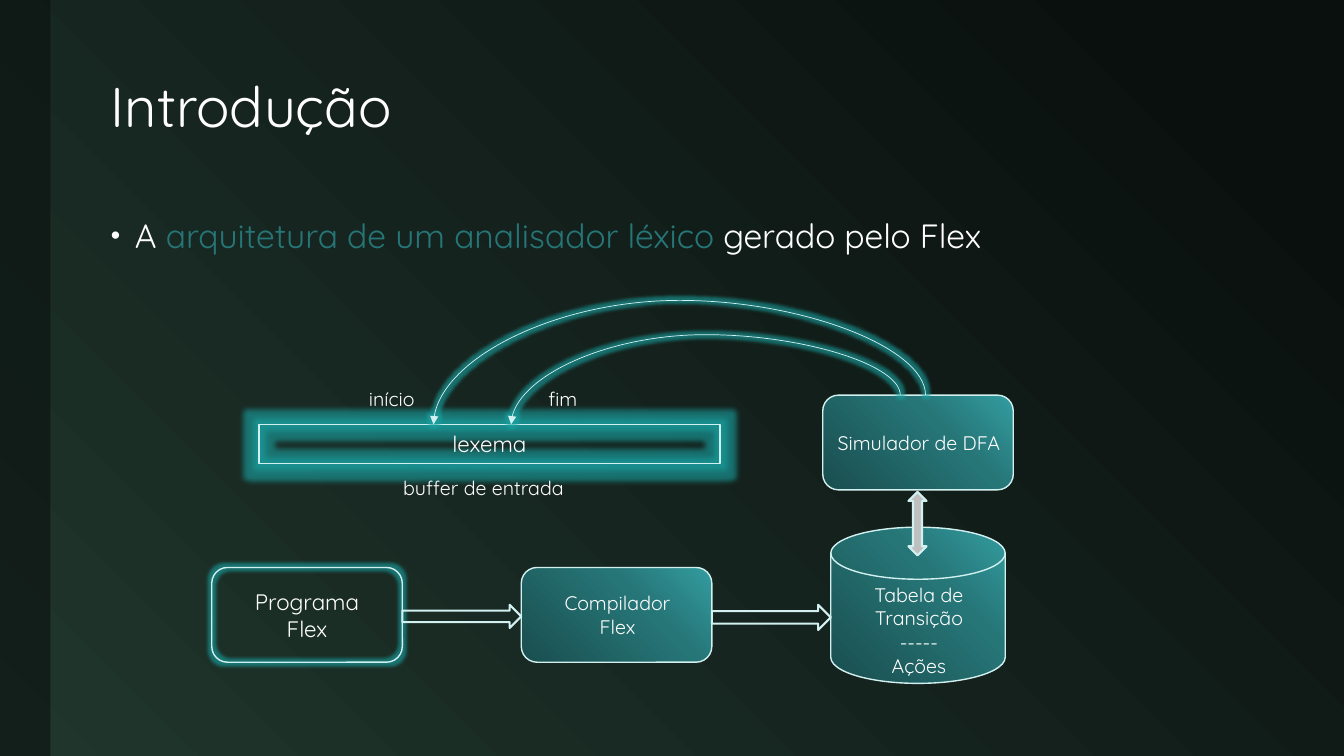
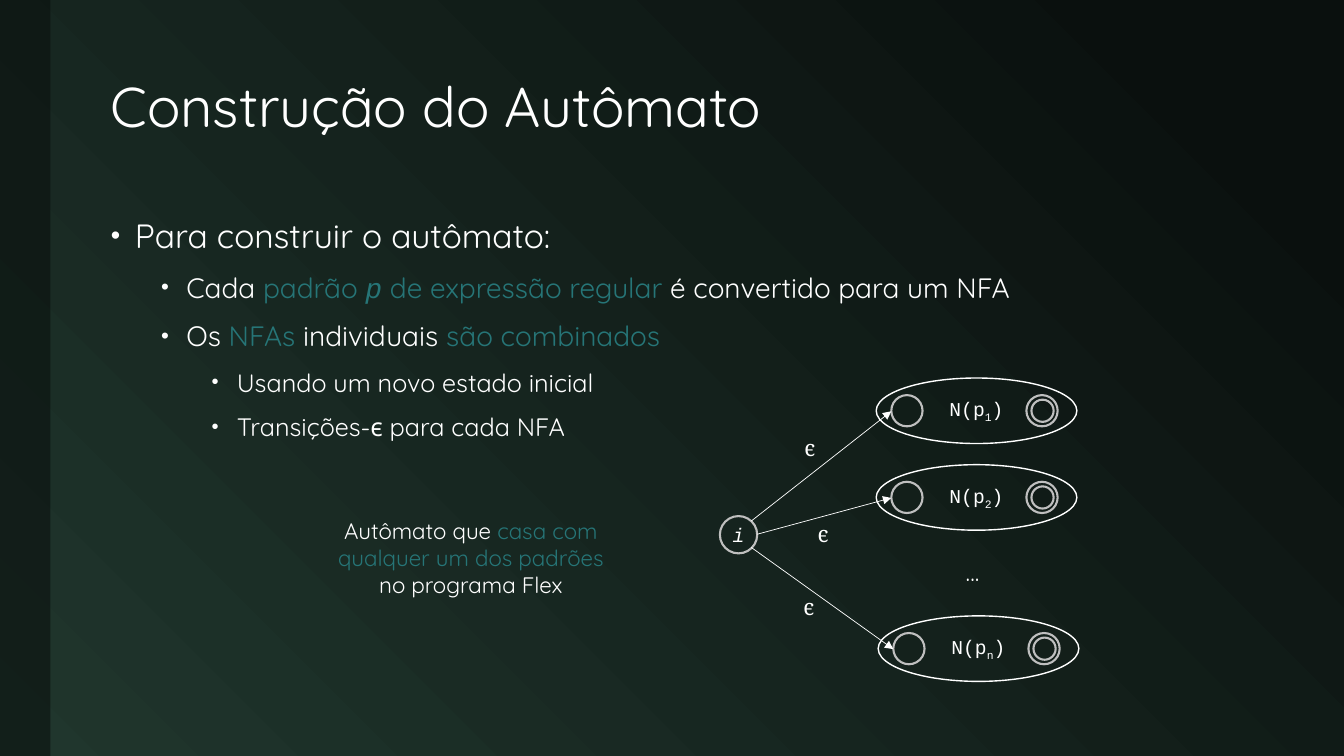
from copy import deepcopy

from lxml import etree
from pptx import Presentation
from pptx.dml.color import RGBColor
from pptx.enum.shapes import MSO_CONNECTOR, MSO_SHAPE
from pptx.enum.text import MSO_ANCHOR, PP_ALIGN
from pptx.oxml.ns import qn
from pptx.util import Inches, Pt

RECT, ROUND = MSO_SHAPE.RECTANGLE, MSO_SHAPE.ROUNDED_RECTANGLE
OVAL, DISK = MSO_SHAPE.OVAL, MSO_SHAPE.FLOWCHART_MAGNETIC_DISK
RIGHT, UPDOWN = MSO_SHAPE.RIGHT_ARROW, MSO_SHAPE.UP_DOWN_ARROW
STRAIGHT, CURVE = MSO_CONNECTOR.STRAIGHT, MSO_CONNECTOR.CURVE
TOP, MIDDLE = MSO_ANCHOR.TOP, MSO_ANCHOR.MIDDLE
LEFT, CENTER = PP_ALIGN.LEFT, PP_ALIGN.CENTER

DARK, GREEN, TEAL = "0A100E", "20362D", "267577"
WHITE, PALE, GRAY, GLOW = "FFFFFF", "D2F0F0", "BFBFBF", "1AA5A5"
SHEEN = [(0, "1A4E4F"), (0.63, TEAL), (1, "339C9F")]
PAD = (0.1, 0.05, 0.1, 0.05)
TIGHT = (0.1, 0.08, 0.08, 0.08)
ACCENT = {"color": TEAL}
# Per outline level: text size, left margin, hanging indent, space before
LEVELS = [(24, 0.24, 0.24, 18), (20, 0.75, 0.25, 6), (18, 1.25, 0.25, 6)]


def rgb(code):
    return RGBColor.from_string(code)


def sub(node, tag, **attrs):
    """Append a child element with the given attributes."""
    child = etree.SubElement(node, qn(tag))
    for key, val in attrs.items():
        child.set(key, str(val))
    return child


def blend(fill, root, stops, angle):
    """Give a fill a gradient of (position, colour) stops."""
    fill.gradient()
    fill.gradient_angle = angle
    nodes = next(root.iter(qn("a:gsLst")))
    while len(nodes) < len(stops):
        nodes.append(deepcopy(nodes[-1]))
    for stop, (pos, code) in zip(fill.gradient_stops, stops):
        stop.position = pos
        stop.color.rgb = rgb(code)


def halo(effects, size):
    glow = sub(effects, "a:glow", rad=Pt(size))
    tint = sub(glow, "a:srgbClr", val=GLOW)
    sub(tint, "a:alpha", val=60000)


class Deck:
    """Holds the shared style and the slide being built."""

    def __init__(self):
        self.prs = Presentation()
        self.prs.slide_width = Inches(13.33)
        self.prs.slide_height = Inches(7.5)
        master = self.prs.slide_master
        blend(master.background.fill, master._element,
              [(0.1, DARK), (1, GREEN)], 225)
        self.slide = None

    def start(self, title):
        """Add a slide with its side band and title."""
        self.slide = self.prs.slides.add_slide(self.prs.slide_layouts[6])
        band = self.shape(RECT, (0, 0, 0.5, 7.5), fill=DARK)
        tint = next(band._element.spPr.iter(qn("a:srgbClr")))
        sub(tint, "a:alpha", val=60000)
        box = self.text((1, 0.42, 11.65, 1.33), title, 40, anchor=MIDDLE)
        box.text_frame.paragraphs[0].line_spacing = 0.9

    def runs(self, para, parts, base):
        """Fill a paragraph with plain text or (text, format) parts."""
        if isinstance(parts, str):
            parts = [(parts, {})]
        for words, extra in parts:
            look = {**base, **extra}
            color, shift = look.pop("color"), look.pop("shift", 0)
            for num, line in enumerate(words.split("\n")):
                if num:
                    para.add_line_break()
                run = para.add_run()
                run.text = line
                for key, val in look.items():
                    setattr(run.font, key, val)
                run.font.color.rgb = rgb(color)
                if shift:
                    run.font._element.set("baseline", str(shift))

    def label(self, shape, parts, size, face="Quicksand", align=CENTER,
              anchor=MIDDLE, wrap=True, pad=PAD):
        frame = shape.text_frame
        sides = ("margin_left", "margin_top", "margin_right", "margin_bottom")
        look = dict(zip(sides, map(Inches, pad)))
        look.update(word_wrap=wrap, vertical_anchor=anchor)
        for key, val in look.items():
            setattr(frame, key, val)
        para = frame.paragraphs[0]
        para.alignment = align
        self.runs(para, parts,
                  {"size": Pt(size), "name": face, "color": WHITE})

    def text(self, at, parts, size, align=LEFT, anchor=TOP, **opts):
        box = self.slide.shapes.add_textbox(*map(Inches, at))
        self.label(box, parts, size, align=align, anchor=anchor, **opts)
        return box

    def shape(self, kind, at, fill=None, line=None, width=1, glow=0):
        item = self.slide.shapes.add_shape(kind, *map(Inches, at))
        item.shadow.inherit = False
        if fill is SHEEN:
            blend(item.fill, item._element, SHEEN, 45)
        elif fill:
            item.fill.solid()
            item.fill.fore_color.rgb = rgb(fill)
        else:
            item.fill.background()
        if line:
            item.line.color.rgb = rgb(line)
            item.line.width = Pt(width)
        else:
            item.line.fill.background()
        if glow:
            halo(item._element.spPr.find(qn("a:effectLst")), glow)
        return item

    def block(self, kind, at, words, pad=TIGHT):
        """Add a shaded shape with a centred label."""
        item = self.shape(kind, at, SHEEN, PALE)
        self.label(item, words, 14, pad=pad)

    def ring(self, x, y, size):
        return self.shape(OVAL, (x, y, size, size), line=GRAY, width=1.5)

    def link(self, kind, start, end, color, glow=0):
        """Add a thin connector with an arrowhead at its end."""
        item = self.slide.shapes.add_connector(
            kind, *map(Inches, (*start, *end)))
        item.line.color.rgb = rgb(color)
        item.line.width = Pt(0.5)
        props = item._element.spPr
        sub(props.find(qn("a:ln")), "a:tailEnd", type="triangle")
        effects = sub(props, "a:effectLst")
        if glow:
            halo(effects, glow)
        return item

    def arc(self, start, end, rise):
        """Curve from start over to end, peaking rise above the start."""
        (x1, y1), (x2, y2) = start, end
        midx, midy = (x1 + x2) / 2, (y1 + y2) / 2
        dx, dy = (y2 - y1) / 2, (x1 - x2) / 2
        item = self.link(CURVE, (midx + dx, midy + dy),
                         (midx - dx, midy - dy), PALE, 5)
        props = item._element.spPr
        props.find(qn("a:xfrm")).set("rot", str(270 * 60000))
        geom = props.find(qn("a:prstGeom"))
        guides = geom.find(qn("a:avLst"))
        if guides is None:
            guides = sub(geom, "a:avLst")
        bend = round(-rise / (y2 - y1) * 100000)
        sub(guides, "a:gd", name="adj1", fmla=f"val {bend}")

    def body(self, items):
        """Add the bulleted outline from (level, parts) items."""
        box = self.slide.shapes.add_textbox(
            *map(Inches, (1, 2, 11.65, 4.83)))
        frame = box.text_frame
        frame.word_wrap = True
        for num, (level, parts) in enumerate(items):
            para = frame.add_paragraph() if num else frame.paragraphs[0]
            size, margin, hang, gap = LEVELS[level]
            look = {"level": level, "line_spacing": 1.2,
                    "space_before": Pt(gap)}
            for key, val in look.items():
                setattr(para, key, val)
            props = para._p.get_or_add_pPr()
            props.set("marL", str(Inches(margin)))
            props.set("indent", str(-Inches(hang)))
            sub(props, "a:buSzPct", val=80000)
            sub(props, "a:buFont", typeface="Arial")
            sub(props, "a:buChar", char="•")
            self.runs(para, parts, {"size": Pt(size), "name": "Quicksand",
                                    "color": WHITE})


def intro(deck):
    deck.start("Introdução")
    deck.body([(0, [("A ", {}),
                    ("arquitetura de um analisador léxico", ACCENT),
                    (" gerado pelo Flex", {})])])
    deck.block(ROUND, (5.17, 5.63, 1.89, 0.94), "Compilador\nFlex")
    source = deck.shape(ROUND, (2.1, 5.63, 1.89, 0.94), line=PALE, glow=5)
    deck.label(source, "Programa\nFlex", 16)
    deck.block(DISK, (8.24, 5.23, 1.73, 1.55),
               "Tabela de Transição\n-----\nAções", (0.1, 0.28, 0.08, 0.05))
    deck.block(ROUND, (8.16, 3.92, 1.89, 0.94), "Simulador de DFA")
    deck.shape(UPDOWN, (9.01, 4.88, 0.18, 0.63), GRAY, PALE, 1.5)
    for x, high in ((7.06, 0.25), (3.99, 0.23)):
        deck.shape(RIGHT, (x, 6, 1.18, high), line=PALE, width=1.5)
    buffer = deck.shape(RECT, (2.57, 4.21, 4.57, 0.39), line=PALE, glow=8)
    deck.label(buffer, "lexema", 16)
    for x1, x2, rise in ((8.93, 5.07, 0.6), (9.18, 4.3, 0.94)):
        deck.arc((x1, 3.92), (x2, 4.21), rise)
    for x, y, wide, words in ((3.9, 4.67, 1.91, "buffer de entrada"),
                              (3.56, 3.79, 0.69, "início"),
                              (5.34, 3.79, 0.49, "fim")):
        deck.text((x, y, wide, 0.34), words, 14, wrap=False)


def build(deck):
    deck.start("Construção do Autômato")
    deck.body([
        (0, "Para construir o autômato:"),
        (1, [("Cada ", {}), ("padrão ", ACCENT),
             ("p", {**ACCENT, "name": "Courier New", "italic": True}),
             (" de expressão regular ", ACCENT),
             ("é convertido para um NFA", {})]),
        (1, [("Os ", {}), ("NFAs", ACCENT), (" individuais ", {}),
             ("são combinados", ACCENT)]),
        (2, "Usando um novo estado inicial"),
        (2, "Transições-ϵ para cada NFA"),
    ])
    deck.text((9.48, 5.47, 0.41, 0.4), "...", 18, wrap=False)
    first = deck.ring(7.14, 5.12, 0.37)
    deck.label(first, [("i", {"italic": True})], 14, "Courier New",
               pad=(0, 0, 0, 0))
    # Automaton corner, its index, arrow start and ϵ corner
    for x, y, index, start, corner in (
            (8.69, 3.75, "1", (7.45, 5.17), (7.88, 4.26)),
            (8.69, 4.61, "2", (7.51, 5.3), (8.01, 5.11)),
            (8.71, 6.11, "n", (7.45, 5.43), (7.87, 5.84))):
        oval = deck.shape(OVAL, (x, y, 1.99, 0.65), line=WHITE)
        deck.label(oval, [("N(p", {}), (index, {"shift": -25000}),
                          (")", {})], 14, "Courier New")
        for dx, size in ((0.15, 0.31), (1.49, 0.31), (1.54, 0.22)):
            deck.ring(x + dx, y + 0.65 / 2 - size / 2, size)
        deck.link(STRAIGHT, start, (x + 0.15, y + 0.33), WHITE)
        deck.text((*corner, 0.31, 0.37), "ϵ", 16, face="Cambria", wrap=False)
    deck.text((3.17, 5.08, 3, 0.91),
              [("Autômato que ", {}),
               ("casa com qualquer um dos padrões ", ACCENT),
               ("no programa Flex", {})], 16, align=CENTER)


def main():
    deck = Deck()
    intro(deck)
    build(deck)
    deck.prs.save("out.pptx")


if __name__ == "__main__":
    main()
